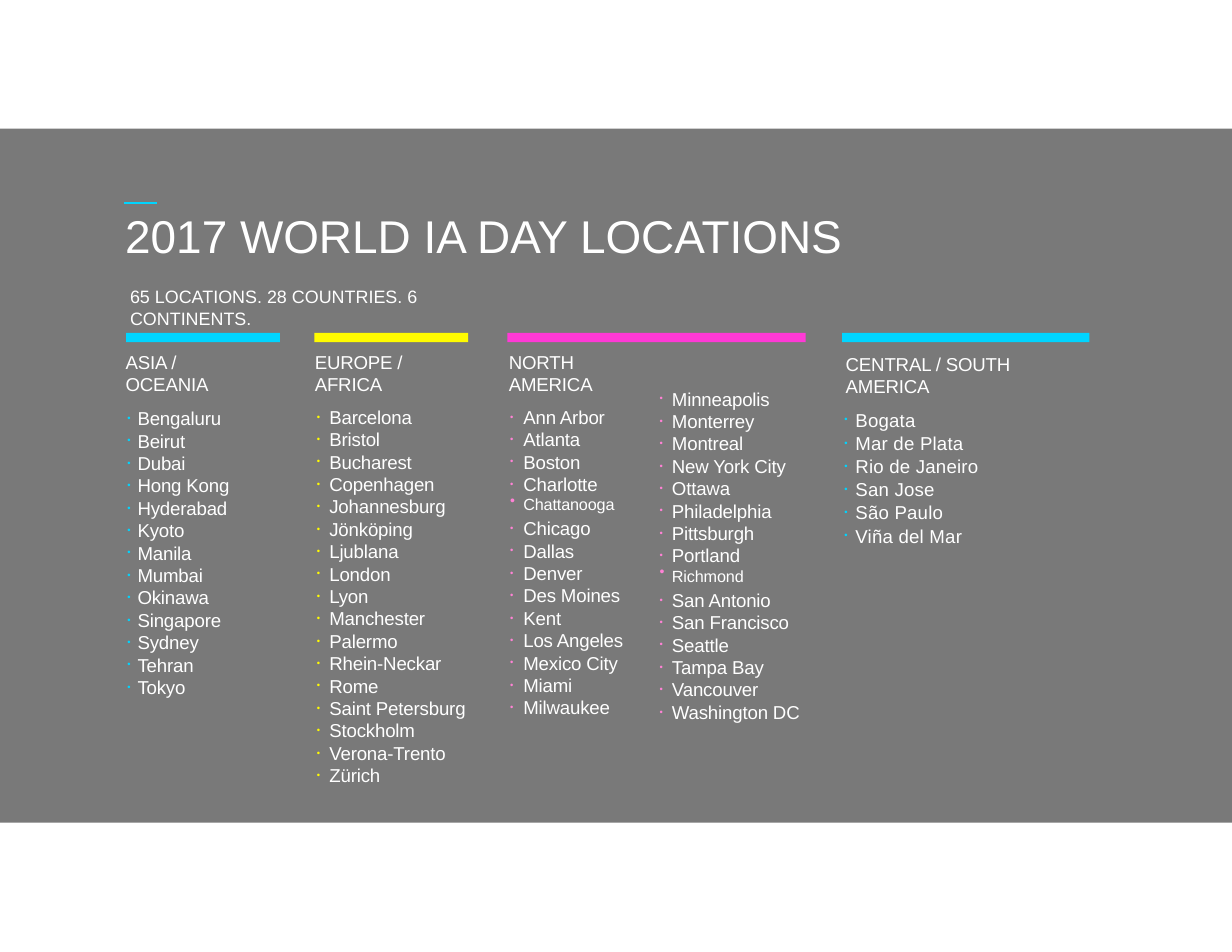
from lxml import etree
from pptx import Presentation
from pptx import util as u
from pptx.dml.color import RGBColor
from pptx.enum import shapes
from pptx.oxml.ns import qn

GREY = RGBColor(0x79, 0x79, 0x79)
WHITE = RGBColor(0xFF, 0xFF, 0xFF)
CYAN = RGBColor(0x00, 0xD5, 0xFF)
YELLOW = RGBColor(0xFF, 0xFB, 0x00)
MAGENTA = RGBColor(0xFF, 0x39, 0xD6)
PINK = RGBColor(0xFF, 0x82, 0xD5)

# Cities set larger and raised, which shows as small text
RAISED = {"Chattanooga", "Richmond"}


class Board:
    font = "Arial"
    body = 12
    pitch = 14.4

    def __init__(self, slide):
        self.slide = slide

    def rect(self, x, y, w, h, color):
        sp = self.slide.shapes.add_shape(
            shapes.MSO_SHAPE.RECTANGLE, u.Cm(x), u.Cm(y), u.Cm(w), u.Cm(h))
        sp.shadow.inherit = False
        sp.fill.solid()
        sp.fill.fore_color.rgb = color
        sp.line.fill.background()

    def line(self, x1, y1, x2, y2, color):
        sp = self.slide.shapes.add_connector(
            shapes.MSO_CONNECTOR.STRAIGHT, u.Cm(x1), u.Cm(y1), u.Cm(x2), u.Cm(y2))
        sp.line.color.rgb = color
        sp.line.width = u.Pt(1)
        etree.SubElement(sp._element.spPr, qn("a:effectLst"))

    def box(self, x, y, w, h):
        sp = self.slide.shapes.add_textbox(u.Cm(x), u.Cm(y), u.Cm(w), u.Cm(h))
        tf = sp.text_frame
        tf.word_wrap = True
        tf.margin_left = tf.margin_top = tf.margin_right = tf.margin_bottom = 0
        return tf

    def style(self, p, size, pitch, spacing=0, left=0, hang=0, right=0, before=0):
        p.line_spacing = u.Pt(pitch)
        p.space_before = u.Pt(before)
        pPr = p._p.get_or_add_pPr()
        for key, length in (("marL", left), ("marR", right), ("indent", -hang)):
            pPr.set(key, str(u.Cm(length)))
        for r in p.runs:
            r.font.name = self.font
            r.font.size = u.Pt(size)
            r.font.color.rgb = WHITE
            r.font._element.set("spc", str(spacing))

    def bullet(self, p, color):
        pPr = p._p.get_or_add_pPr()
        clr = etree.SubElement(pPr, qn("a:buClr"))
        etree.SubElement(clr, qn("a:srgbClr"), val=str(color))
        etree.SubElement(pPr, qn("a:buSzPct"), val="50000")
        etree.SubElement(pPr, qn("a:buFont"), typeface=self.font)
        etree.SubElement(pPr, qn("a:buChar"), char="•")

    def label(self, x, y, w, h, content, size, pitch, left, spacing=0):
        p = self.box(x, y, w, h).paragraphs[0]
        p.text = content
        self.style(p, size, pitch, spacing, left)

    def cities(self, x, y, w, h, heading, names, color, left, hang,
               gap=0, before=0, spacing=-10, head_left=0.03):
        tf = self.box(x, y, w, h)
        p = tf.paragraphs[0]
        if heading:
            p.text = heading
            self.style(p, self.body, self.pitch, -10, head_left, right=0.76)
        for i, name in enumerate(names):
            if i or heading:
                p = tf.add_paragraph()
            p.text = name
            raised = name in RAISED
            self.style(p, 18 if raised else self.body,
                       14.1 if raised else self.pitch, spacing,
                       left, hang, before=gap if i else before)
            if raised:
                p.runs[0].font._element.set("baseline", "2000")
            self.bullet(p, color)


prs = Presentation()
prs.slide_width, prs.slide_height = u.Cm(27.94), u.Cm(21.59)
board = Board(prs.slides.add_slide(prs.slide_layouts[6]))

# Background panel and accent line
board.rect(0, 2.92, 27.94, 15.74, GREY)
board.line(2.82, 4.6, 3.56, 4.6, CYAN)

# Title and summary
board.label(2.79, 4.67, 22.33, 1.8, "2017 WORLD IA DAY LOCATIONS", 29.5, 36.5, 0.05)
board.label(2.92, 6.48, 9.07, 0.48,
            "65 LOCATIONS. 28 COUNTRIES. 6 CONTINENTS.", 11.5, 14, 0.03)

# Region bars
for x, w, color in ((2.86, 3.49, CYAN), (7.13, 3.49, YELLOW),
                    (11.51, 6.76, MAGENTA), (19.1, 5.61, CYAN)):
    board.rect(x, 7.55, w, 0.21, color)

# City lists
board.cities(2.82, 7.95, 3.12, 7.44, "ASIA / OCEANIA", [
    "Bengaluru", "Beirut", "Dubai", "Hong Kong", "Hyderabad", "Kyoto", "Manila",
    "Mumbai", "Okinawa", "Singapore", "Sydney", "Tehran", "Tokyo",
], CYAN, 0.3, 0.23, before=7.5)
board.cities(7.11, 7.95, 3.56, 9.47, "EUROPE / AFRICA", [
    "Barcelona", "Bristol", "Bucharest", "Copenhagen", "Johannesburg",
    "Jönköping", "Ljublana", "London", "Lyon", "Manchester", "Palermo",
    "Rhein-Neckar", "Rome", "Saint Petersburg", "Stockholm", "Verona-Trento",
    "Zürich",
], YELLOW, 0.36, 0.28, before=6.7)
board.cities(11.51, 7.95, 3.43, 7.92, "NORTH AMERICA", [
    "Ann Arbor", "Atlanta", "Boston", "Charlotte", "Chattanooga", "Chicago",
    "Dallas", "Denver", "Des Moines", "Kent", "Los Angeles", "Mexico City",
    "Miami", "Milwaukee",
], PINK, 0.36, 0.3, before=6.6)
board.cities(14.94, 8.79, 3.3, 7.7, None, [
    "Minneapolis", "Monterrey", "Montreal", "New York City", "Ottawa",
    "Philadelphia", "Pittsburgh", "Portland", "Richmond", "San Antonio",
    "San Francisco", "Seattle", "Tampa Bay", "Vancouver", "Washington DC",
], PINK, 0.3, 0.28)
board.cities(19.1, 8, 5.66, 3.91, "CENTRAL / SOUTH AMERICA", [
    "Bogata", "Mar de Plata", "Rio de Janeiro", "San Jose", "São Paulo",
    "Viña del Mar",
], CYAN, 0.3, 0.25, gap=0.5, before=7, spacing=15, head_left=0.08)

prs.save("out.pptx")
